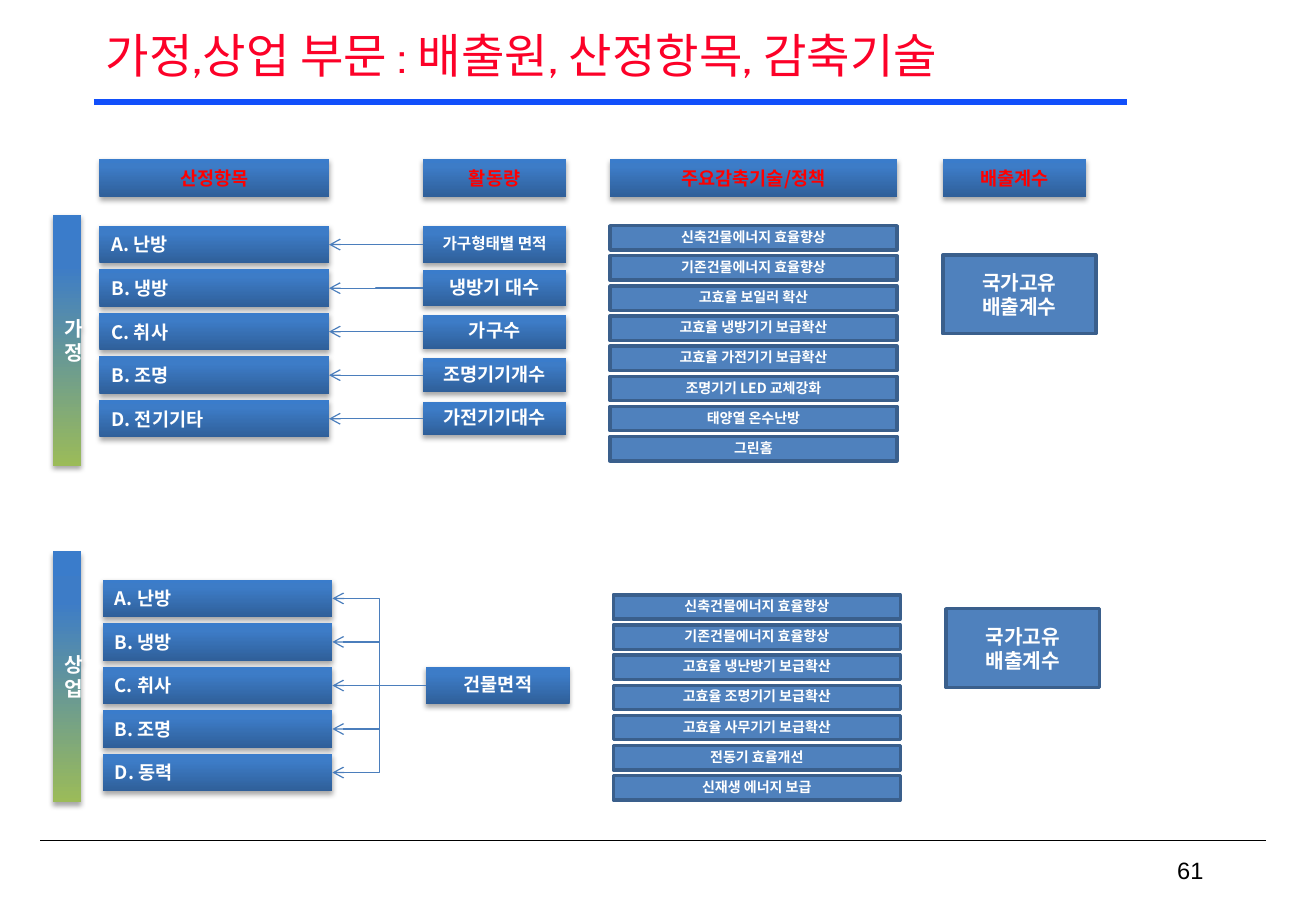
import copy
from dataclasses import dataclass

import pptx
import pptx.util
from pptx.dml.color import RGBColor
from pptx.enum.shapes import MSO_CONNECTOR, MSO_SHAPE
from pptx.enum.text import MSO_ANCHOR, MSO_AUTO_SIZE, PP_ALIGN
from pptx.oxml.ns import qn
from pptx.oxml.xmlchemy import OxmlElement

Cm, Pt = pptx.util.Cm, pptx.util.Pt


@dataclass
class Theme:
    font: str = "Noto Sans CJK KR"
    title_font: str = "Cabin"
    number_font: str = "Arial"
    white: str = "FFFFFF"
    black: str = "000000"
    title: str = "FC0128"
    header: str = "FF0000"
    rule: str = "114FFB"
    link: str = "4B7EBC"
    flat: str = "4F81BD"
    border: str = "3A5F8C"
    blue: tuple = ((0, "2F5F99"), (0.8, "3D7CC7"), (1, "3A7CCB"))
    green: tuple = ((0, "9BBB59"), (0.8, "3D7CC7"), (1, "3A7CCB"))
    title_size: float = 28
    number_size: float = 14
    large: float = 12
    normal: float = 11
    small: float = 9.3
    tiny: float = 8.3


T = Theme()


def write(tf, lines, size, color=T.white, font=T.font, bold=True,
          align=PP_ALIGN.CENTER, spacing=1.0):
    """Fill a text frame with one paragraph per line, centred vertically."""
    tf.word_wrap = True
    tf.auto_size = MSO_AUTO_SIZE.NONE
    tf.vertical_anchor = MSO_ANCHOR.MIDDLE
    for i, line in enumerate(lines):
        p = tf.paragraphs[0] if i == 0 else tf.add_paragraph()
        p.alignment, p.line_spacing = align, spacing
        r = p.add_run()
        r.text = line
        r.font.name, r.font.size, r.font.bold = font, Pt(size), bold
        r.font.color.rgb = RGBColor.from_string(color)
        ea = OxmlElement("a:ea")
        ea.set("typeface", T.font)
        r.font._element.find(qn("a:latin")).addnext(ea)


def box(x, y, w, h, lines, size, stops=None, **style):
    """Add a shadowed gradient box, or a flat bordered one without stops."""
    sp = s.shapes.add_shape(MSO_SHAPE.RECTANGLE, Cm(x), Cm(y), Cm(w), Cm(h))
    if stops:
        sp.fill.gradient()
        sp.fill.gradient_angle = 90
        gs_list = sp._element.spPr.find(".//" + qn("a:gsLst"))
        gs_list.append(copy.deepcopy(gs_list[0]))
        for stop, (position, color) in zip(sp.fill.gradient_stops, stops):
            stop.position = position
            stop.color.rgb = RGBColor.from_string(color)
        sp.line.fill.background()
    else:
        sp.fill.solid()
        sp.fill.fore_color.rgb = RGBColor.from_string(T.flat)
        sp.line.color.rgb = RGBColor.from_string(T.border)
        sp.line.width = Pt(2)
    sp.shadow.inherit = False
    if stops:
        shadow = OxmlElement("a:outerShdw")
        for key, value in (("blurRad", Pt(3.1)), ("dist", Pt(1.8)),
                           ("dir", 5400000), ("rotWithShape", 0)):
            shadow.set(key, str(int(value)))
        color = OxmlElement("a:srgbClr")
        color.set("val", T.black)
        alpha = OxmlElement("a:alpha")
        alpha.set("val", "35000")
        color.append(alpha)
        shadow.append(color)
        sp._element.spPr.find(qn("a:effectLst")).append(shadow)
    write(sp.text_frame, lines, size, **style)
    return sp


prs = pptx.Presentation()
prs.slide_width, prs.slide_height = Cm(27.51), Cm(19.05)
s = prs.slides.add_slide(prs.slide_layouts[5])

# Title, rules and page number
title = s.shapes.title
title.left, title.top, title.width, title.height = Cm(1.96), Cm(0.43), Cm(23.6), Cm(1.57)
write(title.text_frame, ["가정,상업 부문 : 배출원, 산정항목, 감축기술"], T.title_size,
      T.title, T.title_font, False, PP_ALIGN.JUSTIFY, 0.9)

for x1, x2, y, color, width in ((0.84, 26.47, 17.58, T.black, 1),
                                (1.96, 23.55, 2.13, T.rule, 3.75)):
    rule = s.shapes.add_connector(MSO_CONNECTOR.STRAIGHT, Cm(x1), Cm(y), Cm(x2), Cm(y))
    rule.line.color.rgb = RGBColor.from_string(color)
    rule.line.width = Pt(width)
    rule._element.spPr.append(OxmlElement("a:effectLst"))

number = s.shapes.add_textbox(Cm(19.69), Cm(17.78), Cm(5.72), Cm(0.84))
write(number.text_frame, ["61"], T.number_size, T.black, T.number_font, False, PP_ALIGN.RIGHT)

# Column headers
ITEM_X, ACTIVITY_X, POLICY_X, FACTOR_X = 2.08, 8.84, 12.75, 19.71
ITEM_W, ACTIVITY_W, POLICY_W, FACTOR_W = 4.8, 3.0, 6.0, 3.2
ROW_H, ROW_STEP, POLICY_STEP = 0.79, 0.91, 0.63
for x, w, text in ((ITEM_X, ITEM_W, "산정항목"), (ACTIVITY_X, ACTIVITY_W, "활동량"),
                   (POLICY_X, POLICY_W, "주요감축기술/정책"), (FACTOR_X, ACTIVITY_W, "배출계수")):
    box(x, 3.33, w, ROW_H, [text], T.normal, T.blue, color=T.header)

# Sectors; each activity is (text, row, height, type size)
sectors = [
    dict(name="가정", dx=0, bar_y=4.5, item_y=4.72, policy_y=4.72, factor_y=5.33,
         items=["A. 난방", "B. 냉방", "C. 취사", "B. 조명", "D. 전기기타"],
         activities=[("가구형태별 면적", 0, 0.79, T.small), ("냉방기 대수", 1, 0.76, T.normal),
                     ("가구수", 2, 0.71, T.normal), ("조명기기개수", 3, 0.71, T.normal),
                     ("가전기기대수", 4, 0.69, T.normal)],
         policies=["신축건물에너지 효율향상", "기존건물에너지 효율향상", "고효율 보일러 확산",
                   "고효율 냉방기기 보급확산", "고효율 가전기기 보급확산",
                   "조명기기 LED 교체강화", "태양열 온수난방", "그린홈"]),
    dict(name="상업", dx=0.07, bar_y=11.53, item_y=12.12, policy_y=12.44, factor_y=12.73,
         items=["A. 난방", "B. 냉방", "C. 취사", "B. 조명", "D. 동력"],
         activities=[("건물면적", 2, 0.79, T.normal)],
         policies=["신축건물에너지 효율향상", "기존건물에너지 효율향상", "고효율 냉난방기 보급확산",
                   "고효율 조명기기 보급확산", "고효율 사무기기 보급확산",
                   "전동기 효율개선", "신재생 에너지 보급"]),
]

for sector in sectors:
    dx = sector["dx"]
    box(1.1, sector["bar_y"], 0.6, 5.24, [sector["name"]], T.large, T.green)
    items = [box(ITEM_X + dx, sector["item_y"] + i * ROW_STEP, ITEM_W, ROW_H, [text],
                 T.normal, T.blue, align=PP_ALIGN.LEFT)
             for i, text in enumerate(sector["items"])]
    activities = [box(ACTIVITY_X + dx, sector["item_y"] + row * ROW_STEP + (ROW_H - h) / 2,
                      ACTIVITY_W, h, [text], size, T.blue, spacing=0.9)
                  for text, row, h, size in sector["activities"]]
    for i, text in enumerate(sector["policies"]):
        sp = box(POLICY_X + dx, sector["policy_y"] + i * POLICY_STEP, POLICY_W, 0.51,
                 [text], T.tiny, spacing=0.9)
        tf = sp.text_frame
        tf.margin_left = tf.margin_right = 0
        tf.margin_top = tf.margin_bottom = Cm(0.1)
    box(FACTOR_X + dx, sector["factor_y"], FACTOR_W, 1.65, ["국가고유", "배출계수"], T.large)

    for i, item in enumerate(items):
        link = s.shapes.add_connector(MSO_CONNECTOR.ELBOW, 0, 0, 0, 0)
        link.begin_connect(activities[min(i, len(activities) - 1)], 1)
        link.end_connect(item, 3)
        link.line.color.rgb = RGBColor.from_string(T.link)
        link.line.width = Pt(0.75)
        arrow = OxmlElement("a:tailEnd")
        arrow.set("type", "arrow")
        link.line._get_or_add_ln().append(arrow)
        link._element.spPr.append(OxmlElement("a:effectLst"))

prs.save("out.pptx")
